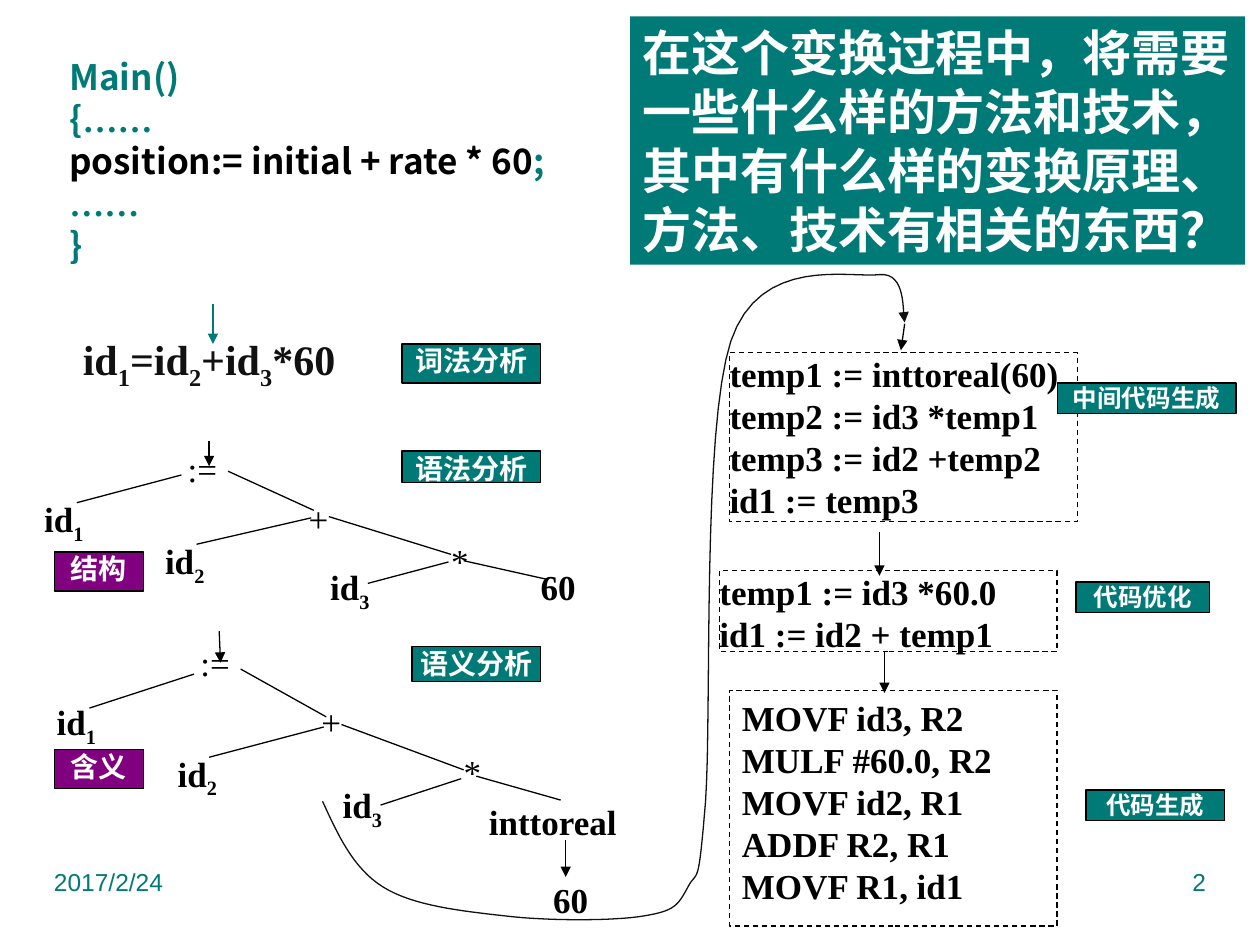
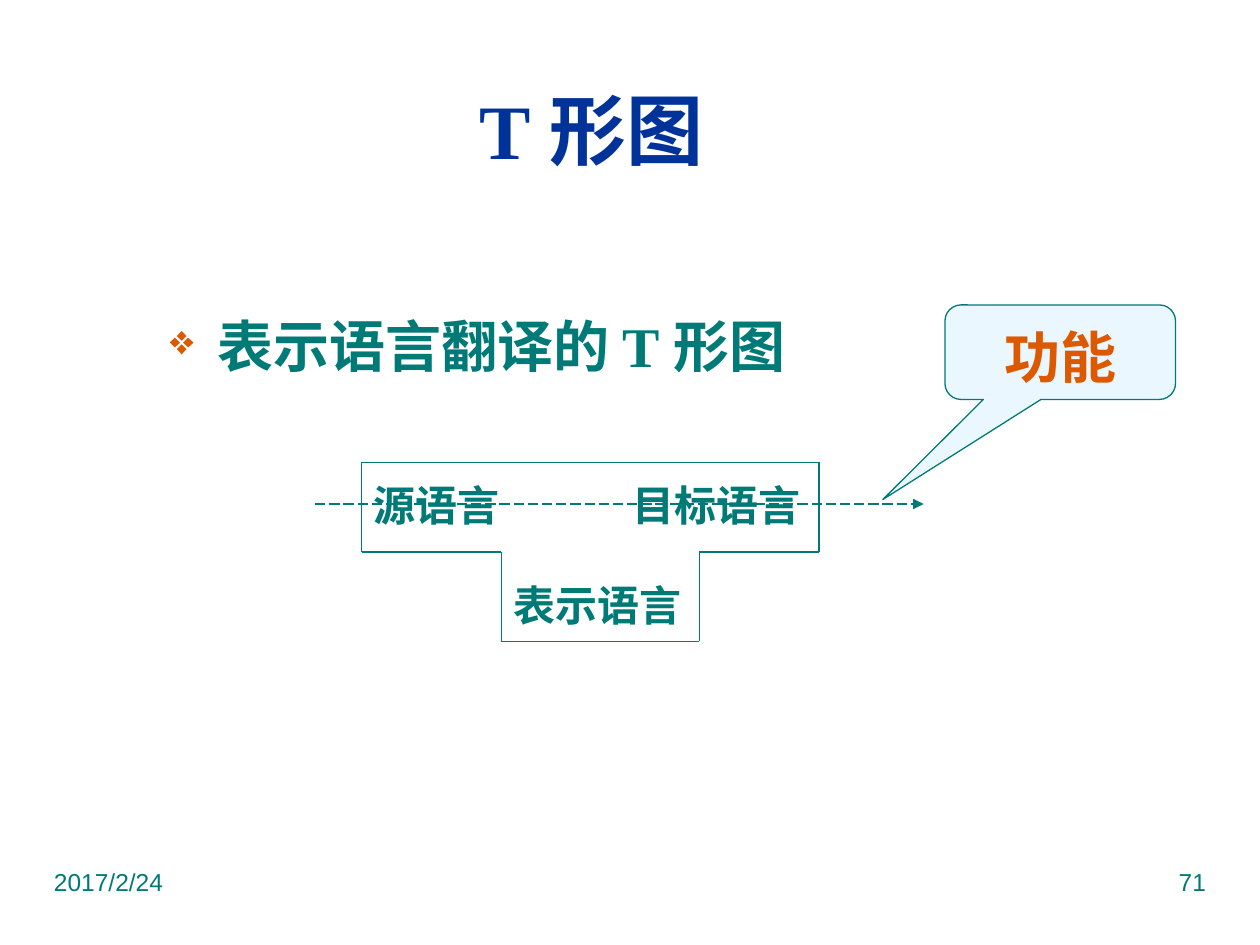
from dataclasses import dataclass

from lxml import etree
from pptx import Presentation
from pptx import util as u
from pptx.dml.color import RGBColor
from pptx.enum import dml, shapes, text
from pptx.oxml.ns import qn


@dataclass(frozen=True)
class Theme:
    teal: str = "007A77"
    navy: str = "003399"
    orange: str = "DC5900"
    purple: str = "800080"
    pale: str = "EBF7FF"
    black: str = "000000"
    ink: str = "111111"
    white: str = "FFFFFF"
    serif: str = "Times New Roman"
    sans: str = "Arial"
    cjk: str = "Noto Sans CJK SC"
    small: int = 14
    tag: int = 16
    code: int = 20
    label: int = 24
    question: int = 28
    heading: int = 32
    title: int = 44
    hairline: float = 0.75


T = Theme()
LEFT, CENTER, RIGHT = text.PP_ALIGN.LEFT, text.PP_ALIGN.CENTER, text.PP_ALIGN.RIGHT
DASH, LONG_DASH = dml.MSO_LINE.DASH, dml.MSO_LINE.LONG_DASH
RECT = shapes.MSO_SHAPE.RECTANGLE
SUB = {"sub": True}

prs = Presentation()
prs.slide_width, prs.slide_height = u.Inches(10), u.Inches(7.5)
# Every length below counts cells of a grid of 100 columns by 75 rows.
CELL = prs.slide_width // 100


def put(s, at, paragraphs, preset=None, sp=None, fill=None, line=None, dash=None,
        inset=(1, 0.5), wrap=True, anchor=text.MSO_ANCHOR.TOP, align=LEFT,
        **style):
    """Place text; a paragraph is a string or a list of (text, style changes)."""
    box = [round(v * CELL) for v in at]
    if sp is not None:
        sp.left, sp.top, sp.width, sp.height = box
    elif preset is None:
        sp = s.shapes.add_textbox(*box)
    else:
        sp = s.shapes.add_shape(preset, *box)
        sp.shadow.inherit = False
        if fill:
            sp.fill.solid()
            sp.fill.fore_color.rgb = RGBColor.from_string(fill)
        else:
            sp.fill.background()
        if line:
            sp.line.color.rgb = RGBColor.from_string(line)
            sp.line.width = u.Pt(T.hairline)
            sp.line.dash_style = dash
        else:
            sp.line.fill.background()
    tf = sp.text_frame
    dx, dy = (round(v * CELL) for v in inset)
    frame = dict(word_wrap=wrap, auto_size=text.MSO_AUTO_SIZE.NONE,
                 vertical_anchor=anchor, margin_left=dx, margin_right=dx,
                 margin_top=dy, margin_bottom=dy)
    for name, value in frame.items():
        setattr(tf, name, value)
    for i, runs in enumerate(paragraphs):
        p = tf.paragraphs[0] if i == 0 else tf.add_paragraph()
        p.alignment = align
        for words, changes in [(runs, {})] if isinstance(runs, str) else runs:
            look = dict(size=T.code, font=T.serif, color=T.black, bold=True)
            look.update(style)
            look.update(changes)
            r = p.add_run()
            r.text = words
            r.font.size, r.font.bold = u.Pt(look["size"]), look["bold"]
            r.font.name = look["font"]
            r.font.color.rgb = RGBColor.from_string(look["color"])
            props = r.font._element
            props.find(qn("a:latin")).addnext(
                etree.Element(qn("a:ea"), typeface=T.cjk))
            if look.get("sub"):
                props.set("baseline", "-25000")
    return sp


def stroke(s, points, color=T.black, width=T.hairline, dash=None, arrow=False):
    """Draw a connector through two points, or an open outline through more."""
    pts = [(round(x * CELL), round(y * CELL)) for x, y in points]
    if len(pts) == 2:
        sp = s.shapes.add_connector(shapes.MSO_CONNECTOR.STRAIGHT, *pts[0], *pts[1])
        etree.SubElement(sp._element.spPr, qn("a:effectLst"))
    else:
        builder = s.shapes.build_freeform(*pts[0])
        builder.add_line_segments(pts[1:], close=False)
        sp = builder.convert_to_shape()
        sp.shadow.inherit = False
        sp.fill.background()
    sp.line.color.rgb = RGBColor.from_string(color)
    sp.line.width = u.Pt(width)
    sp.line.dash_style = dash
    if arrow:
        etree.SubElement(sp.line._get_or_add_ln(), qn("a:tailEnd"), type="triangle")


# Both slides: date and page number
BLANK, TITLE_ONLY = prs.slide_layouts[6], prs.slide_layouts[5]
phases, t_diagram = [prs.slides.add_slide(x) for x in (BLANK, TITLE_ONLY)]
for s, number in ((phases, "2"), (t_diagram, "71")):
    for x, words, align in ((3.3, "2017/2/24", LEFT), (71.7, number, RIGHT)):
        put(s, (x, 68.3, 25, 5.2), [words], align=align, size=T.small,
            font=T.sans, color=T.teal, bold=False)

# Slide 1: compiler phases
s = phases
flush = dict(inset=(0, 0))
dashed = dict(preset=RECT, line=T.black, dash=DASH)
put(s, (57.9, 28, 27.6, 13.4),
    ["temp1 := inttoreal(60)", "temp2 := id3 *temp1", "temp3 := id2 +temp2",
     "id1 := temp3"], **dashed, **flush)
put(s, (57.1, 45.3, 26.8, 6.4), ["temp1 := id3 *60.0", "id1 := id2 + temp1"],
    **dashed, **flush)
put(s, (57.9, 54.8, 26, 18.7),
    ["MOVF id3, R2", "MULF #60.0, R2", "MOVF id2, R1", "ADDF R2, R1",
     "MOVF R1, id1"], **dashed)

dots = [("……", {"font": T.serif})]
put(s, (5.5, 4.4, 46.1, 16.7),
    ["Main()", [("{", {})] + dots,
     [("position:= initial + rate * 60", {"color": T.black}), (";", {})],
     dots, "}"], font=T.cjk, color=T.teal, **flush)
put(s, (4.3, 26, 24.6, 4.7),
    [[("id", {}), ("1", SUB), ("=id", {}), ("2", SUB), ("+id", {}), ("3", SUB),
      ("*60", {})]], align=CENTER, size=T.label, color=T.ink)

tags = [
    ("词法分析", (31.9, 27.3, 11, 3.1), T.tag, T.teal),
    ("语法分析", (31.9, 35.8, 11, 2.5), T.tag, T.teal),
    ("语义分析", (32.7, 51.3, 10.2, 2.8), T.tag, T.teal),
    ("中间代码生成", (83.9, 30.4, 14.2, 2.4), T.small, T.teal),
    ("代码优化", (85.4, 46.2, 10.6, 2.4), T.small, T.teal),
    ("代码生成", (86.2, 62.7, 11, 2.4), T.small, T.teal),
    ("结构", (4.3, 43.8, 7.1, 3.1), T.tag, T.purple),
    ("含义", (4.3, 59.5, 7.1, 3.1), T.tag, T.purple),
]
for words, at, size, fill in tags:
    put(s, at, [words], preset=RECT, fill=fill, line=T.black, align=CENTER,
        size=size, color=T.white, **flush)

# Syntax tree and semantic tree: the second is one column right, with its own rows
nodes = [  # text, subscript, column, width, row in each tree
    (":=", "", 14.9, 3.7, (35.5, 50.9)),
    ("+", "", 24.5, 1.6, (39.5, 55.6)),
    ("*", "", 35.8, 1.4, (42.8, 59.6)),
    ("id", "1", 3.5, 5.5, (39.5, 55.6)),
    ("id", "2", 13.1, 5.5, (42.8, 59.7)),
    ("id", "3", 26.2, 5.5, (44.9, 62.2)),
]
edges = [  # start and end column, then start and end row in each tree
    (29.2, 35.6, ((46.3, 44.6), (63.9, 61.8))),
    (36.8, 43.5, ((44.5, 46), (61.6, 63.5))),
    (15.6, 24.7, ((43.2, 41.1), (60.1, 57.7))),
    (26.1, 35.8, ((41, 44), (57.5, 61.1))),
    (6.1, 14.4, ((39.9, 37.7), (56.2, 53.5))),
    (18.1, 24.9, ((37.4, 40.5), (53.1, 56.9))),
]
for tree in range(2):
    for words, sub, x, width, rows in nodes:
        runs = [(words, {}), (sub, SUB)] if sub else [(words, {})]
        put(s, (x + tree, rows[tree], width, 3.3), [runs], bold=bool(sub), **flush)
    for x1, x2, rows in edges:
        y1, y2 = rows[tree]
        stroke(s, [(x1 + tree, y1), (x2 + tree, y2)])
for words, at in (("60", (42.9, 44.9, 5.5, 3.3)),
                  ("inttoreal", (38.8, 63.5, 12.8, 4.3)),
                  ("60", (43.9, 69.7, 5.4, 3.3))):
    put(s, at, [words], **flush)

arrows = [
    ((71.8, 25.7), (71.5, 27.8), T.black),
    ((69.8, 42.2), (69.8, 45.7), T.black),
    ((70.2, 51.7), (70.2, 55), T.black),
    ((16.6, 35), (16.6, 37), T.black),
    ((17.4, 50.1), (17.5, 52.6), T.black),
    ((44.9, 66.7), (44.9, 69.6), T.black),
    ((16.9, 24.1), (16.9, 27.3), T.teal),
]
for start, end, color in arrows:
    stroke(s, [start, end], color, arrow=True)

# Curve from the semantic tree up to the intermediate code
STEPS = 16
curve = [(25.6, 63.6)]
beziers = [
    ((26.8, 66.2), (28, 68.9), (30.4, 70.4)),
    ((32.8, 71.9), (36.6, 72.3), (40.1, 72.7)),
    ((43.5, 73.1), (48.7, 73.1), (51.1, 72.7)),
    ((53.5, 72.3), (53.8, 71.9), (54.6, 70.4)),
    ((55.4, 68.9), (55.4, 70.8), (56, 63.6)),
    ((56.5, 56.4), (55.7, 34.1), (58, 27.1)),
    ((60.3, 20.2), (67.5, 22.1), (69.8, 21.8)),
    ((72, 21.6), (71.6, 24.9), (71.8, 25.6)),
]
for b, c, d in beziers:
    a = curve[-1]
    for step in range(1, STEPS + 1):
        t = step / STEPS
        weights = ((1 - t) ** 3, 3 * t * (1 - t) ** 2, 3 * t * t * (1 - t), t ** 3)
        curve.append(tuple(sum(w * v for w, v in zip(weights, axis))
                           for axis in zip(a, b, c, d)))
stroke(s, curve, T.ink, arrow=True)

put(s, (50, 1.3, 48.8, 19.7),
    ["在这个变换过程中，将需要一些什么样的方法和技术，其中有什么样的变换原理、方法、技术有相关的东西？"],
    preset=RECT, fill=T.teal, size=T.question, font=T.sans, color=T.white)

# Slide 2: T diagram
s = t_diagram
put(s, (23.2, 6.8, 47.5, 6.8), ["T 形图"], sp=s.shapes.title, align=CENTER,
    anchor=text.MSO_ANCHOR.MIDDLE, size=T.title, color=T.navy)
bullet = put(s, (12.5, 24.2, 85, 8.3), ["表示语言翻译的 T 形图"],
             size=T.heading, color=T.teal)
pPr = bullet.text_frame.paragraphs[0]._p.get_or_add_pPr()
indent = round(3.8 * CELL)
pPr.set("marL", str(indent))
pPr.set("indent", str(-indent))
bullet_color = etree.SubElement(pPr, qn("a:buClr"))
etree.SubElement(bullet_color, qn("a:srgbClr"), val=T.orange)
etree.SubElement(pPr, qn("a:buSzPct"), val="75000")
etree.SubElement(pPr, qn("a:buChar"), char="❖")

for words, at in (("源语言", (28.7, 37.6, 12, 5)),
                  ("表示语言", (39.8, 45.5, 15.3, 5)),
                  ("目标语言", (49.2, 37.6, 15.3, 5))):
    put(s, at, [words], wrap=False, size=T.label, color=T.teal)

stroke(s, [(25, 40), (73.3, 40)], T.teal, dash=LONG_DASH, arrow=True)
callout = put(s, (75, 24.2, 18.3, 7.5), ["功能"],
              preset=shapes.MSO_SHAPE.ROUNDED_RECTANGULAR_CALLOUT, fill=T.pale,
              line=T.teal, align=CENTER, size=T.heading, font=T.cjk, color=T.orange)
for i, value in enumerate((-0.77, 1.56, 0.17)):
    callout.adjustments[i] = value
callout.text_frame.paragraphs[0].line_spacing = 1.1

bar_left, stem_left, stem_right, bar_right = 28.7, 39.8, 55.5, 65
top, middle, bottom = 36.7, 43.8, 50.9
corners = [(bar_left, top), (bar_right, top), (bar_right, middle),
           (stem_right, middle), (stem_right, bottom), (stem_left, bottom),
           (stem_left, middle), (bar_left, middle)]
for start, end in zip(corners, corners[1:] + corners[:1]):
    stroke(s, [start, end], T.teal)

prs.save("out.pptx")
